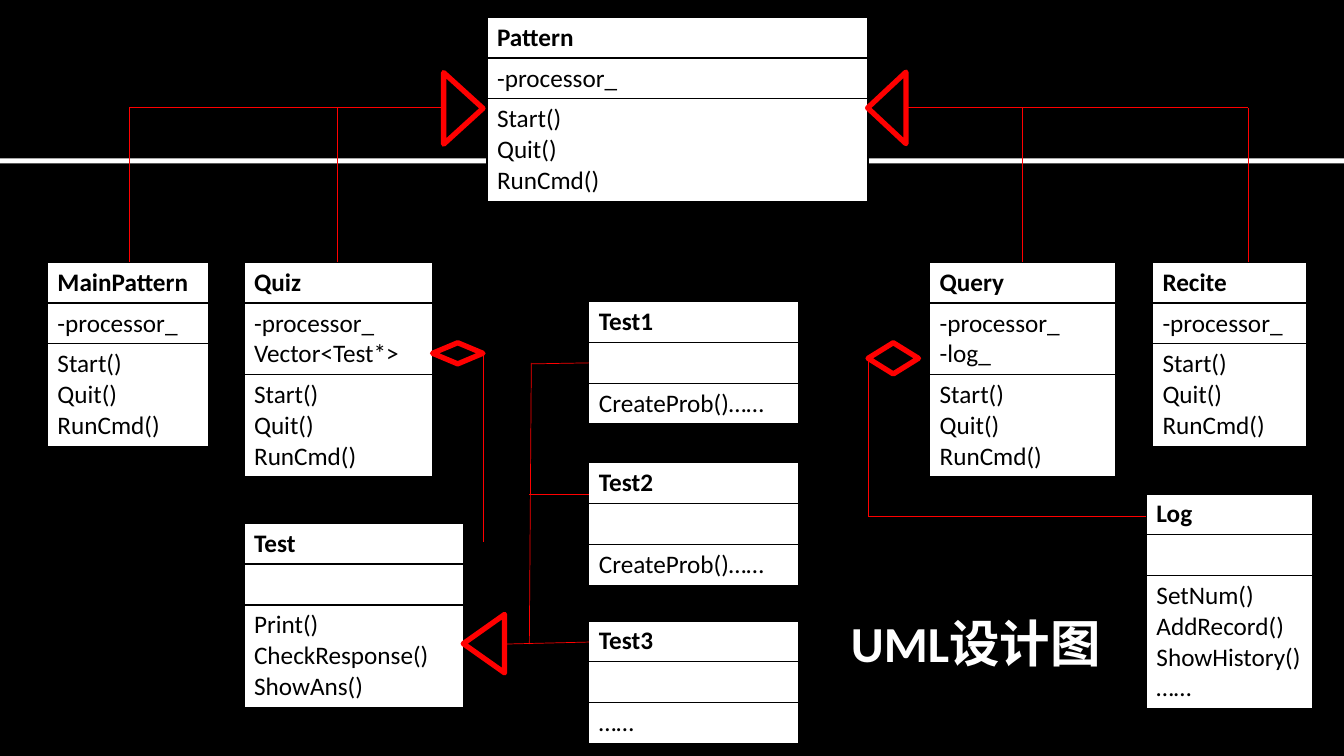
from dataclasses import dataclass

import pptx
import pptx.dml.color
import pptx.enum.shapes
import pptx.enum.text
import pptx.oxml
import pptx.oxml.ns
import pptx.slide
import pptx.table
import pptx.text.text
import pptx.util
from pptx.util import Inches

BLACK = pptx.dml.color.RGBColor(0, 0, 0)
WHITE = pptx.dml.color.RGBColor(255, 255, 255)
RED = pptx.dml.color.RGBColor(255, 0, 0)
FONT = "Calibri"
LINE_HEIGHT = 0.305
CELL_PADDING = 0.1
TRIANGLE = pptx.enum.shapes.MSO_SHAPE.ISOSCELES_TRIANGLE
DIAMOND = pptx.enum.shapes.MSO_SHAPE.DIAMOND


@dataclass
class UmlClass:
    name: str
    left: float
    top: float
    width: float
    fields: list[str]
    methods: list[str]


@dataclass
class Marker:
    """An inheritance triangle or an aggregation diamond."""
    kind: pptx.enum.shapes.MSO_SHAPE
    left: float
    top: float
    width: float
    height: float
    rotation: float = 0


@dataclass
class Link:
    x1: float
    y1: float
    x2: float
    y2: float


COMMANDS = ["Start()", "Quit()", "RunCmd()"]
PROBLEM = ["CreateProb()……"]
CLASSES = [
    UmlClass("Pattern", 4.83, 0.17, 3.78, ["-processor_"], COMMANDS),
    UmlClass("MainPattern", 0.47, 2.6, 1.6, ["-processor_"], COMMANDS),
    UmlClass("Quiz", 2.42, 2.6, 1.87, ["-processor_", "Vector<Test*>"], COMMANDS),
    UmlClass("Query", 9.22, 2.6, 1.84, ["-processor_", "-log_"], COMMANDS),
    UmlClass("Recite", 11.43, 2.6, 1.53, ["-processor_"], COMMANDS),
    UmlClass("Test", 2.42, 5.19, 2.18, [""], ["Print()", "CheckResponse()", "ShowAns()"]),
    UmlClass("Log", 11.37, 4.9, 1.65, [""],
             ["SetNum()", "AddRecord()", "ShowHistory()", "……"]),
    UmlClass("Test1", 5.84, 2.99, 2.08, [""], PROBLEM),
    UmlClass("Test2", 5.84, 4.59, 2.08, [""], PROBLEM),
    UmlClass("Test3", 5.84, 6.16, 2.08, [""], ["……"]),
]
MARKERS = [
    Marker(TRIANGLE, 8.44, 0.88, 0.71, 0.38, 270),
    Marker(TRIANGLE, 4.24, 0.88, 0.71, 0.39, 90),
    Marker(TRIANGLE, 4.51, 6.18, 0.58, 0.41, 270),
    Marker(DIAMOND, 4.29, 3.4, 0.5, 0.21),
    Marker(DIAMOND, 8.61, 3.4, 0.5, 0.31),
]
LINKS = [
    # Pattern and its subclasses
    Link(8.99, 1.07, 12.38, 1.07),
    Link(4.4, 1.07, 1.28, 1.07),
    *[Link(x, 1.07, x, 2.6) for x in (1.28, 3.35, 10.14, 12.38)],
    # Quiz holds Test
    Link(4.79, 3.5, 4.79, 5.38),
    # Test and its subclasses
    Link(5, 6.39, 5.84, 6.37),
    Link(5.25, 6.39, 5.27, 3.6),
    Link(5.27, 3.61, 5.84, 3.6),
    Link(5.25, 4.9, 5.84, 4.9),
    # Query holds Log
    Link(8.61, 3.55, 8.61, 5.12),
    Link(8.61, 5.12, 11.37, 5.12),
]


def set_font(font: pptx.text.text.Font, size: float,
             color: pptx.dml.color.RGBColor, bold: bool) -> None:
    font.name = FONT
    font.size = pptx.util.Pt(size)
    font.bold = bold
    font.color.rgb = color


def add_borders(cell: pptx.table._Cell) -> None:
    """Draw 1 pt black borders; they precede the fill in the cell properties."""
    properties = cell._tc.get_or_add_tcPr()
    for index, side in enumerate(("lnL", "lnR", "lnT", "lnB")):
        properties.insert(index, pptx.oxml.parse_xml(
            f'<a:{side} {pptx.oxml.ns.nsdecls("a")} w="12700"><a:solidFill>'
            f'<a:srgbClr val="{BLACK}"/></a:solidFill></a:{side}>'))


def add_class(page: pptx.slide.Slide, uml: UmlClass) -> None:
    sections = [[uml.name], uml.fields, uml.methods]
    heights = [CELL_PADDING + LINE_HEIGHT * len(lines) for lines in sections]
    table = page.shapes.add_table(3, 1, Inches(uml.left), Inches(uml.top),
                                  Inches(uml.width), Inches(sum(heights))).table
    table.first_row = table.horz_banding = False
    for index, (lines, height) in enumerate(zip(sections, heights)):
        table.rows[index].height = Inches(height)
        cell = table.cell(index, 0)
        cell.text = "\n".join(lines)
        cell.fill.solid()
        cell.fill.fore_color.rgb = WHITE
        add_borders(cell)
        for para in cell.text_frame.paragraphs:
            set_font(para.font, 18, BLACK, bold=index == 0)


def add_marker(page: pptx.slide.Slide, marker: Marker) -> None:
    shape = page.shapes.add_shape(marker.kind, Inches(marker.left), Inches(marker.top),
                                  Inches(marker.width), Inches(marker.height))
    shape.rotation = marker.rotation
    shape.shadow.inherit = False
    shape.fill.solid()
    shape.fill.fore_color.rgb = BLACK
    shape.line.color.rgb = RED
    shape.line.width = pptx.util.Pt(3.78)


def add_link(page: pptx.slide.Slide, link: Link) -> None:
    line = page.shapes.add_connector(
        pptx.enum.shapes.MSO_CONNECTOR.STRAIGHT,
        Inches(link.x1), Inches(link.y1), Inches(link.x2), Inches(link.y2))
    line.line.color.rgb = RED
    line.line.width = pptx.util.Pt(0.5)
    line._element.spPr.append(
        pptx.oxml.parse_xml(f'<a:effectLst {pptx.oxml.ns.nsdecls("a")}/>'))


def add_divider(page: pptx.slide.Slide) -> None:
    bar = page.shapes.add_shape(pptx.enum.shapes.MSO_SHAPE.RECTANGLE,
                                0, Inches(1.57), Inches(13.33), Inches(0.05))
    bar.shadow.inherit = False
    bar.fill.solid()
    bar.fill.fore_color.rgb = WHITE
    bar.line.fill.background()


def set_title(page: pptx.slide.Slide, text: str) -> None:
    title = page.shapes.title
    title.left, title.top = Inches(8.34), Inches(6.02)
    title.width, title.height = Inches(2.71), Inches(1.31)
    box = title.text_frame
    box.word_wrap = True
    box.auto_size = pptx.enum.text.MSO_AUTO_SIZE.NONE
    box.vertical_anchor = pptx.enum.text.MSO_ANCHOR.TOP
    para = box.paragraphs[0]
    para.alignment = pptx.enum.text.PP_ALIGN.LEFT
    span = para.add_run()
    span.text = text
    set_font(span.font, 36, WHITE, bold=True)


def main() -> None:
    deck = pptx.Presentation()
    deck.slide_width, deck.slide_height = Inches(13.33), Inches(7.5)
    page = deck.slides.add_slide(deck.slide_layouts.get_by_name("Title Only"))
    page.background.fill.solid()
    page.background.fill.fore_color.rgb = BLACK
    set_title(page, "UML设计图")
    add_divider(page)
    for uml in CLASSES:
        add_class(page, uml)
    for marker in MARKERS:
        add_marker(page, marker)
    for link in LINKS:
        add_link(page, link)
    deck.save("out.pptx")


if __name__ == "__main__":
    main()
